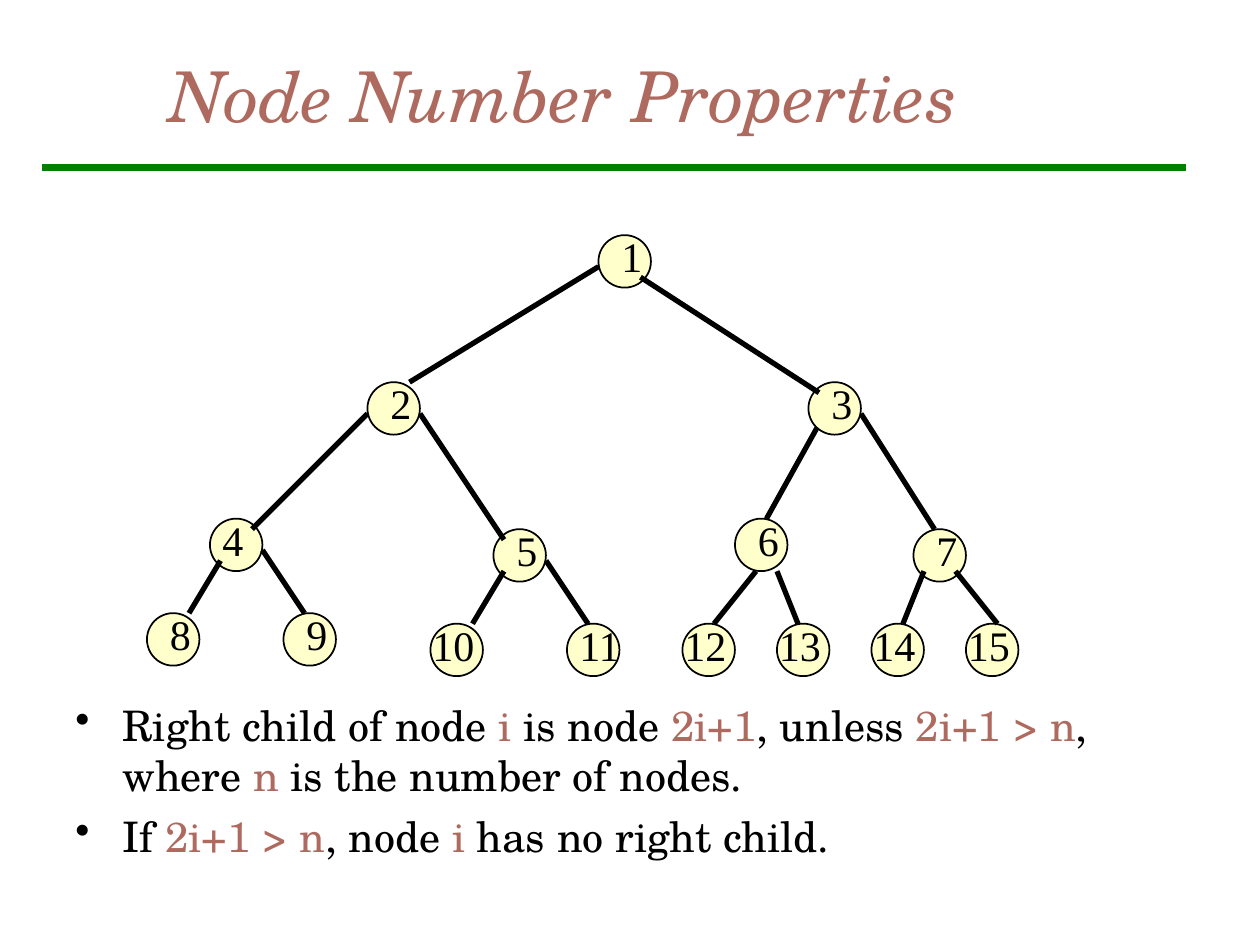
from dataclasses import dataclass

import lxml.etree
import pptx
import pptx.dml.color
import pptx.enum.shapes
import pptx.enum.text
import pptx.oxml.ns
import pptx.util

Pt = pptx.util.Pt
qn = pptx.oxml.ns.qn

BLACK, ACCENT, GREEN, NODE_FILL = "000000", "AF6A5F", "008000", "FFFFCC"
HEADING_FONT, NODE_FONT = "TeX Gyre Schola", "Times New Roman"
TREE_TOP = 134.4
NODE_SIZE = 30


@dataclass
class Node:
    number: int
    left: float
    top: float  # below the top of the tree
    label_shift: float = 6


@dataclass
class Edge:
    parent: int
    start: tuple[float, float]
    end: tuple[float, float]


NODES = [
    Node(1, 342, 0), Node(2, 210, 84), Node(3, 462, 84),
    Node(4, 120, 162, 0), Node(5, 282, 168), Node(6, 420, 162), Node(7, 522, 168),
    Node(8, 84, 216), Node(9, 162, 216), Node(10, 246, 222, -6), Node(11, 324, 222, 0),
    *(Node(12 + i, 390 + 54 * i, 222, -6) for i in range(4)),
]

EDGES = [
    Edge(1, (342, 18), (234, 84)), Edge(1, (366, 24), (468, 90)),
    Edge(2, (210, 102), (144, 168)), Edge(2, (240, 102), (288, 174)),
    Edge(3, (468, 108), (438, 162)), Edge(3, (492, 102), (534, 168)),
    Edge(4, (126, 186), (108, 216)), Edge(4, (150, 180), (174, 216)),
    Edge(5, (288, 192), (270, 222)), Edge(5, (312, 186), (336, 222)),
    Edge(6, (432, 192), (408, 222)), Edge(6, (444, 192), (456, 222)),
    Edge(7, (528, 192), (516, 222)), Edge(7, (546, 192), (570, 222)),
]

# Every second piece between bars takes the accent colour
BULLETS = [
    "Right child of node |i |is node |2i+1|, unless |2i+1 > n|, where |n| is the number of nodes.",
    "If |2i+1 > n|, node| i| has no right child.",
]


def color(value: str) -> pptx.dml.color.RGBColor:
    return pptx.dml.color.RGBColor.from_string(value)


def add_line(start: tuple[float, float], end: tuple[float, float], line_color: str, width: float) -> None:
    connector = slide.shapes.add_connector(
        pptx.enum.shapes.MSO_CONNECTOR.STRAIGHT, *map(Pt, (*start, *end)))
    connector.line.color.rgb = color(line_color)
    connector.line.width = Pt(width)
    lxml.etree.SubElement(connector._element.spPr, qn("a:effectLst"))


def add_text_frame(left: float, top: float, width: float, height: float):
    text_frame = slide.shapes.add_textbox(*map(Pt, (left, top, width, height))).text_frame
    text_frame.word_wrap = True
    return text_frame


def format_run(run, font: str, size: float, font_color: str, italic: bool = False) -> None:
    run.font.name = font
    run.font.size = Pt(size)
    run.font.color.rgb = color(font_color)
    run.font.italic = italic


def add_bullet(paragraph, text: str) -> None:
    paragraph.space_before = Pt(6)
    properties = paragraph._p.get_or_add_pPr()
    properties.set("marL", str(Pt(27)))
    properties.set("indent", str(Pt(-27)))
    bullet_color = lxml.etree.SubElement(properties, qn("a:buClr"))
    lxml.etree.SubElement(bullet_color, qn("a:srgbClr"), val=BLACK)
    lxml.etree.SubElement(properties, qn("a:buChar"), char="\u2022")
    for index, piece in enumerate(text.split("|")):
        run = paragraph.add_run()
        run.text = piece
        format_run(run, HEADING_FONT, 24, ACCENT if index % 2 else BLACK)


def add_circle(node: Node) -> None:
    shape = slide.shapes.add_shape(
        pptx.enum.shapes.MSO_SHAPE.OVAL,
        *map(Pt, (node.left, TREE_TOP + node.top, NODE_SIZE, NODE_SIZE)))
    shape.shadow.inherit = False
    shape.fill.solid()
    shape.fill.fore_color.rgb = color(NODE_FILL)
    shape.line.color.rgb = color(BLACK)
    shape.line.width = Pt(1)


def add_label(node: Node) -> None:
    width = 24 if node.number < 10 else 48
    text_frame = add_text_frame(node.left + node.label_shift, TREE_TOP + node.top - 6, width, 36)
    text_frame.auto_size = pptx.enum.text.MSO_AUTO_SIZE.SHAPE_TO_FIT_TEXT
    text_frame.text = str(node.number)
    paragraph = text_frame.paragraphs[0]
    paragraph.space_before = Pt(15)
    format_run(paragraph.runs[0], NODE_FONT, 24, BLACK)


def add_edge(edge: Edge) -> None:
    (x1, y1), (x2, y2) = edge.start, edge.end
    add_line((x1, TREE_TOP + y1), (x2, TREE_TOP + y2), BLACK, 3)


presentation = pptx.Presentation()
presentation.slide_width, presentation.slide_height = Pt(720), Pt(540)
slide = presentation.slides.add_slide(presentation.slide_layouts[6])

# Title and rule
add_line((24, 96), (678, 96), GREEN, 4)
title = add_text_frame(90, 18, 612, 72)
title.vertical_anchor = pptx.enum.text.MSO_ANCHOR.MIDDLE
title.text = "Node Number Properties"
format_run(title.paragraphs[0].runs[0], HEADING_FONT, 40, ACCENT, italic=True)

# Bullets
body = add_text_frame(36, 396, 654, 126)
for index, bullet in enumerate(BULLETS):
    add_bullet(body.add_paragraph() if index else body.paragraphs[0], bullet)

# Tree: lower levels first, so the upper circles cover the ends of their edges
for node in NODES[3:]:
    add_circle(node)
for edge in EDGES:
    if edge.parent > 1:
        add_edge(edge)
for node in NODES[:3]:
    add_circle(node)
for edge in EDGES:
    if edge.parent == 1:
        add_edge(edge)
for node in NODES:
    add_label(node)

presentation.save("out.pptx")
